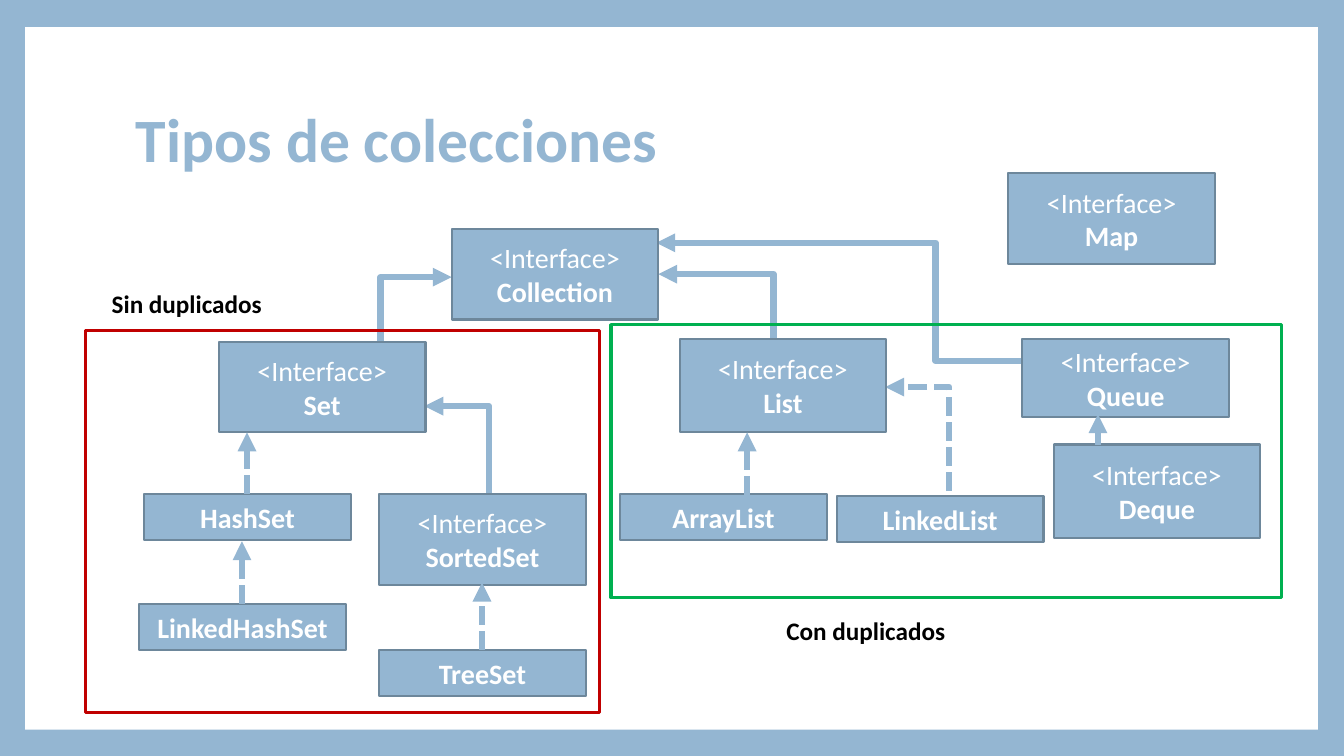
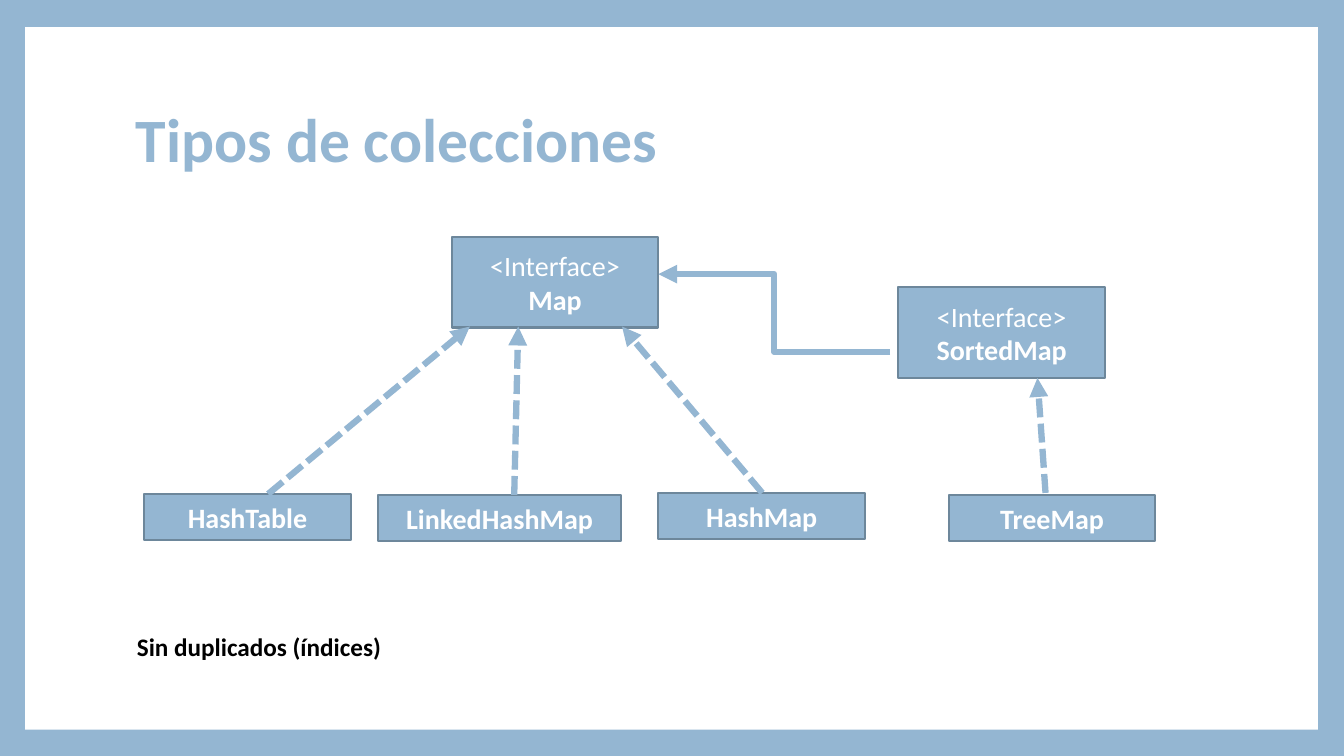
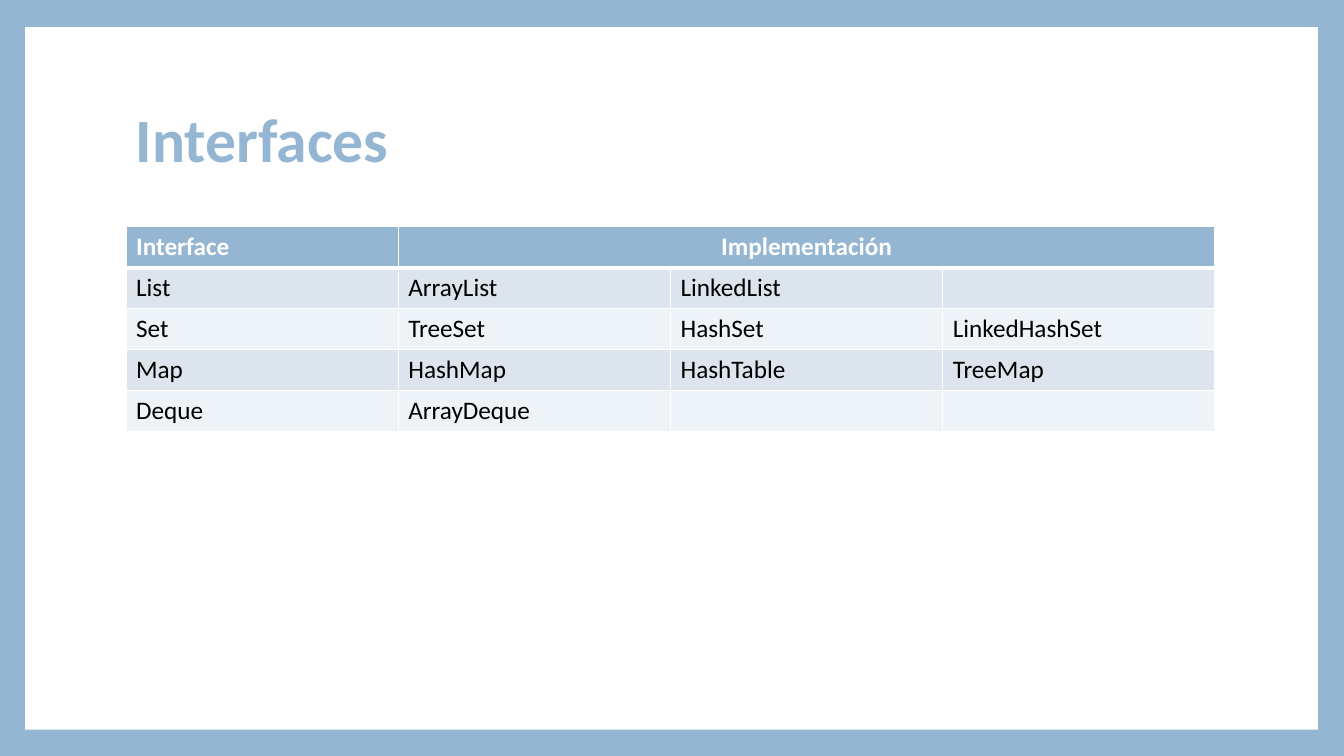
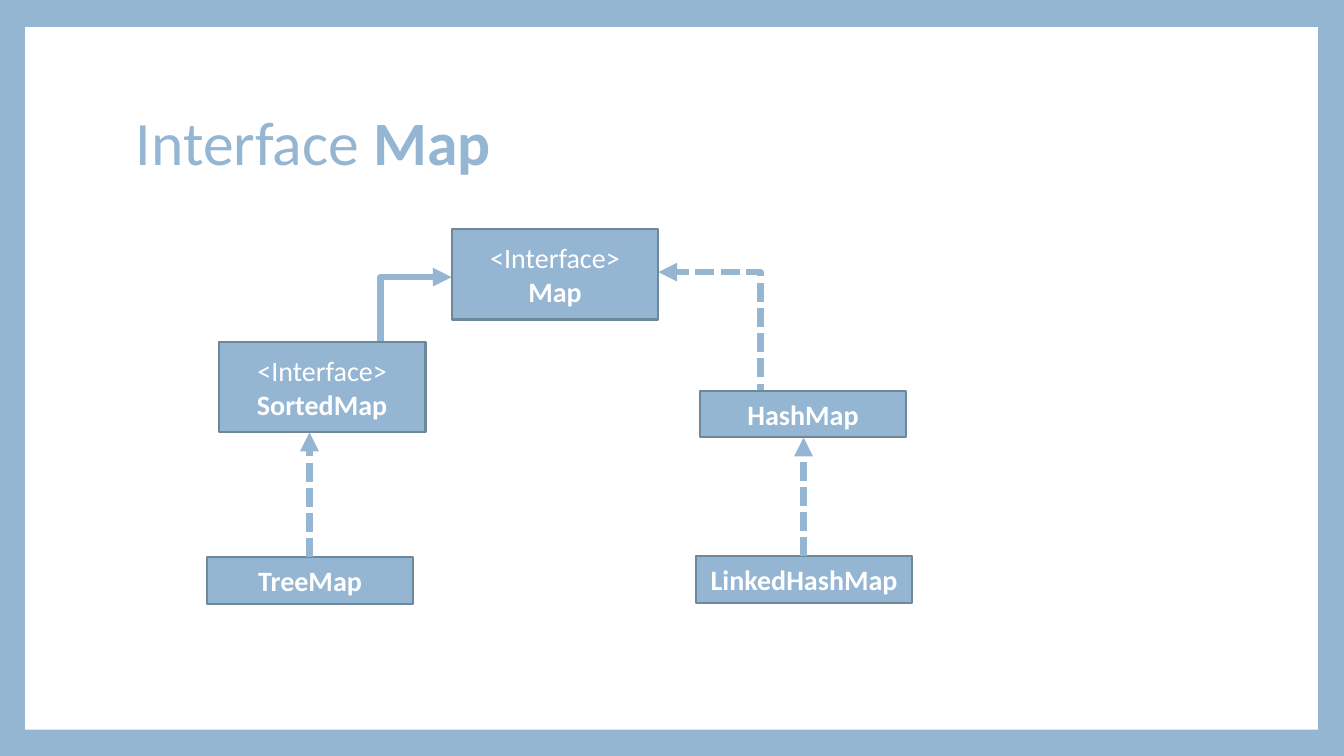
from lxml import etree
from pptx import Presentation
from pptx.dml.color import RGBColor
from pptx.enum.dml import MSO_LINE
from pptx.enum.shapes import MSO_CONNECTOR, MSO_SHAPE
from pptx.enum.text import MSO_ANCHOR, PP_ALIGN
from pptx.oxml.ns import qn
from pptx.util import Inches, Pt

RECT = MSO_SHAPE.RECTANGLE
STRAIGHT, ELBOW = MSO_CONNECTOR.STRAIGHT, MSO_CONNECTOR.ELBOW
DASH = MSO_LINE.SQUARE_DOT
MIDDLE, TOP = MSO_ANCHOR.MIDDLE, MSO_ANCHOR.TOP
LEFT, CENTER = PP_ALIGN.LEFT, PP_ALIGN.CENTER

HEX = {
    "blue": "94B6D2", "edge": "6D879B", "white": "FFFFFF", "black": "000000",
    "red": "C00000", "green": "00B050", "band": "DCE5EE", "pale": "EEF3F7",
}
RGB = {name: RGBColor.from_string(code) for name, code in HEX.items()}

# Text styles: font values, colour, alignment, anchor, line spacing
STYLE = {
    "title": ({"name": "Calibri", "size": Pt(44)}, "blue", LEFT, MIDDLE, 0.9),
    "box": ({"name": "Calibri", "size": Pt(20)}, "white", CENTER, MIDDLE, 1.0),
    "label": ({"name": "Calibri", "size": Pt(18)}, "black", LEFT, TOP, 1.0),
    "head": ({"name": "Calibri", "size": Pt(18)}, "white", LEFT, TOP, 1.0),
}
WIDE, TALL, LOW = 2.05, 0.9, 0.46  # usual box width, interface and class height


def write(frame, lines, style):
    """Fill a text frame; each line is a list of (text, bold) runs."""
    font, color, align, anchor, space = STYLE[style]
    frame.word_wrap = True
    frame.vertical_anchor = anchor
    for i, line in enumerate(lines):
        para = frame.paragraphs[0] if i == 0 else frame.add_paragraph()
        para.alignment, para.line_spacing = align, space
        for text, bold in line:
            run = para.add_run()
            run.text = text
            run.font.bold = bold
            run.font.color.rgb = RGB[color]
            for key, value in font.items():
                setattr(run.font, key, value)


def block(slide, area, fill=None, line=None, width=1.5):
    """Add a plain rectangle."""
    shape = slide.shapes.add_shape(RECT, *map(Inches, area))
    shape.shadow.inherit = False
    for part, color in ((shape.fill, fill), (shape.line.fill, line)):
        if color:
            part.solid()
            part.fore_color.rgb = RGB[color]
        else:
            part.background()
    if line:
        shape.line.width = Pt(width)
    return shape


# Slide content
# faces and types: name, left, top, then width and height where they differ
# bends: from, to, dashed, position of the bend; lines: from, to (dashed)
SLIDES = [
    {
        "title": [("Tipos de colecciones", True)],
        "bends": [
            ((7.8, 3.61), (6.53, 2.72), False, 0.1),
            ((5.49, 4.99), (4.21, 4.03), False, 0.5),
            ((3.07, 3.65), (4.48, 2.75), False, 0.5),
            ((10.05, 4.99), (8.78, 3.84), True, 0.5),
            ((12.05, 3.58), (6.51, 2.41), False, 0.5),
        ],
        "faces": [
            ("Collection", 4.48, 2.27), ("Map", 10, 1.72),
            ("List", 6.74, 3.36, WIDE, 0.93), ("Set", 2.17, 3.39),
            ("SortedSet", 3.76, 4.9), ("Queue", 10.14, 3.36, WIDE, 0.78),
            ("Deque", 10.45, 4.41, WIDE, 0.93),
        ],
        "types": [
            ("HashSet", 1.43, 4.9), ("TreeSet", 3.76, 6.45),
            ("ArrayList", 6.15, 4.9), ("LinkedList", 8.3, 4.92),
            ("LinkedHashSet", 1.38, 5.99),
        ],
        "lines": [
            ((2.45, 4.9), (2.45, 4.29)), ((4.78, 6.45), (4.78, 5.78)),
            ((7.41, 4.91), (7.41, 4.29)), ((2.4, 5.99), (2.4, 5.37)),
            ((10.89, 4.41), (10.89, 4.11)),
        ],
        "groups": [
            ((0.85, 3.28, 5.1, 3.79), "red"),
            ((6.06, 3.22, 6.65, 2.71), "green"),
        ],
        "labels": [
            ("Sin duplicados", (1.01, 2.81, 1.77, 0.4)),
            ("Con duplicados", (7.7, 6.06, 1.85, 0.4)),
        ],
    },
    {
        "title": [("Tipos de colecciones", True)],
        "bends": [((8.83, 3.49), (6.53, 2.72), False, 0.5)],
        "faces": [("Map", 4.48, 2.35), ("SortedMap", 8.91, 2.85)],
        "types": [
            ("HashTable", 1.43, 4.9), ("HashMap", 6.53, 4.89),
            ("LinkedHashMap", 3.75, 4.91, 2.41, LOW), ("TreeMap", 9.41, 4.91),
        ],
        "lines": [
            ((2.66, 4.9), (4.66, 3.24)), ((7.56, 4.89), (6.17, 3.24)),
            ((5.1, 4.91), (5.14, 3.24)), ((10.37, 4.89), (10.29, 3.75)),
        ],
        "labels": [("Sin duplicados (índices)", (1.26, 6.21, 3.23, 0.4))],
    },
    {
        "title": [("Interfaces", True)],
        "table": [
            ["Interface", "Implementación", "", ""],
            ["List", "ArrayList", "LinkedList", ""],
            ["Set", "TreeSet", "HashSet", "LinkedHashSet"],
            ["Map", "HashMap", "HashTable", "TreeMap"],
            ["Deque", "ArrayDeque", "", ""],
        ],
    },
    {
        "title": [("Interface ", False), ("Map", True)],
        "top": 0.7,
        "bends": [
            ((3.07, 3.65), (4.48, 2.75), False, 0.5),
            ((8.56, 3.98), (6.53, 2.7), True, 0.5),
        ],
        "faces": [("Map", 4.48, 2.27), ("SortedMap", 2.17, 3.39)],
        "types": [
            ("TreeMap", 2.05, 5.53), ("LinkedHashMap", 6.9, 5.52, 2.15, LOW),
            ("HashMap", 6.94, 3.88),
        ],
        "lines": [((3.07, 5.53), (3.07, 4.29)), ((7.97, 5.52), (7.97, 4.34))],
    },
]

deck = Presentation()
deck.slide_width, deck.slide_height = Inches(13.33), Inches(7.5)

# Shared background
back = deck.slide_master.background.fill
back.solid()
back.fore_color.rgb = RGB["blue"]

for data in SLIDES:
    slide = deck.slides.add_slide(deck.slide_layouts[6])

    # White panel and title
    block(slide, (0.25, 0.27, 12.82, 6.97), "white")
    area = (1.25, data.get("top", 0.67), 10.8, 1.48)
    title = slide.shapes.add_textbox(*map(Inches, area))
    write(title.text_frame, [data["title"]], "title")

    # Arrows: bent ones lie behind the boxes, straight ones in front
    bends = [(ELBOW, *bend) for bend in data.get("bends", [])]
    lines = [(STRAIGHT, *line, True, None) for line in data.get("lines", [])]
    for links in (bends, lines):
        for kind, start, end, dashed, bend in links:
            link = slide.shapes.add_connector(kind, *map(Inches, start + end))
            link.line.color.rgb = RGB["blue"]
            link.line.width = Pt(4.5)
            if dashed:
                link.line.dash_style = DASH
            etree.SubElement(link.line._get_or_add_ln(), qn("a:tailEnd"), type="triangle")
            props = link._element.spPr
            etree.SubElement(props, qn("a:effectLst"))
            if bend:
                guides = props.find(qn("a:prstGeom")).get_or_add_avLst()
                etree.SubElement(guides, qn("a:gd"), name="adj1",
                                 fmla=f"val {round(bend * 100000)}")

        # Boxes, once the bent arrows are down
        if links is bends:
            for key, tall in (("faces", TALL), ("types", LOW)):
                for name, left, top, *size in data.get(key, []):
                    box = block(slide, (left, top, *(size or (WIDE, tall))), "blue", "edge")
                    text = [[(name, True)]]
                    if key == "faces":
                        text.insert(0, [("<Interface>", False)])
                    write(box.text_frame, text, "box")

    # Group outlines and their labels
    for area, color in data.get("groups", []):
        block(slide, area, line=color, width=2.25)
    for name, area in data.get("labels", []):
        label = slide.shapes.add_textbox(*map(Inches, area))
        write(label.text_frame, [[(name, True)]], "label")

    # Table
    if "table" in data:
        rows = data["table"]
        area = (1.25, 2.25, 10.8, 2.03)
        grid = slide.shapes.add_table(len(rows), len(rows[0]), *map(Inches, area)).table
        for r, row in enumerate(rows):
            for c, name in enumerate(row):
                cell = grid.cell(r, c)
                props = cell._tc.get_or_add_tcPr()
                for side in ("L", "R", "T", "B"):
                    thick = (r, side) in ((0, "B"), (1, "T"))
                    edge = etree.SubElement(props, qn(f"a:ln{side}"), w=str(Pt(3 if thick else 1)))
                    paint = etree.SubElement(edge, qn("a:solidFill"))
                    etree.SubElement(paint, qn("a:srgbClr"), val=HEX["white"])
                cell.fill.solid()
                cell.fill.fore_color.rgb = RGB["blue" if r == 0 else "band" if r % 2 else "pale"]
                if name:
                    write(cell.text_frame, [[(name, r == 0)]], "label" if r else "head")
        grid.cell(0, 1).merge(grid.cell(0, 3))
        grid.cell(0, 1).text_frame.paragraphs[0].alignment = CENTER

deck.save("out.pptx")
